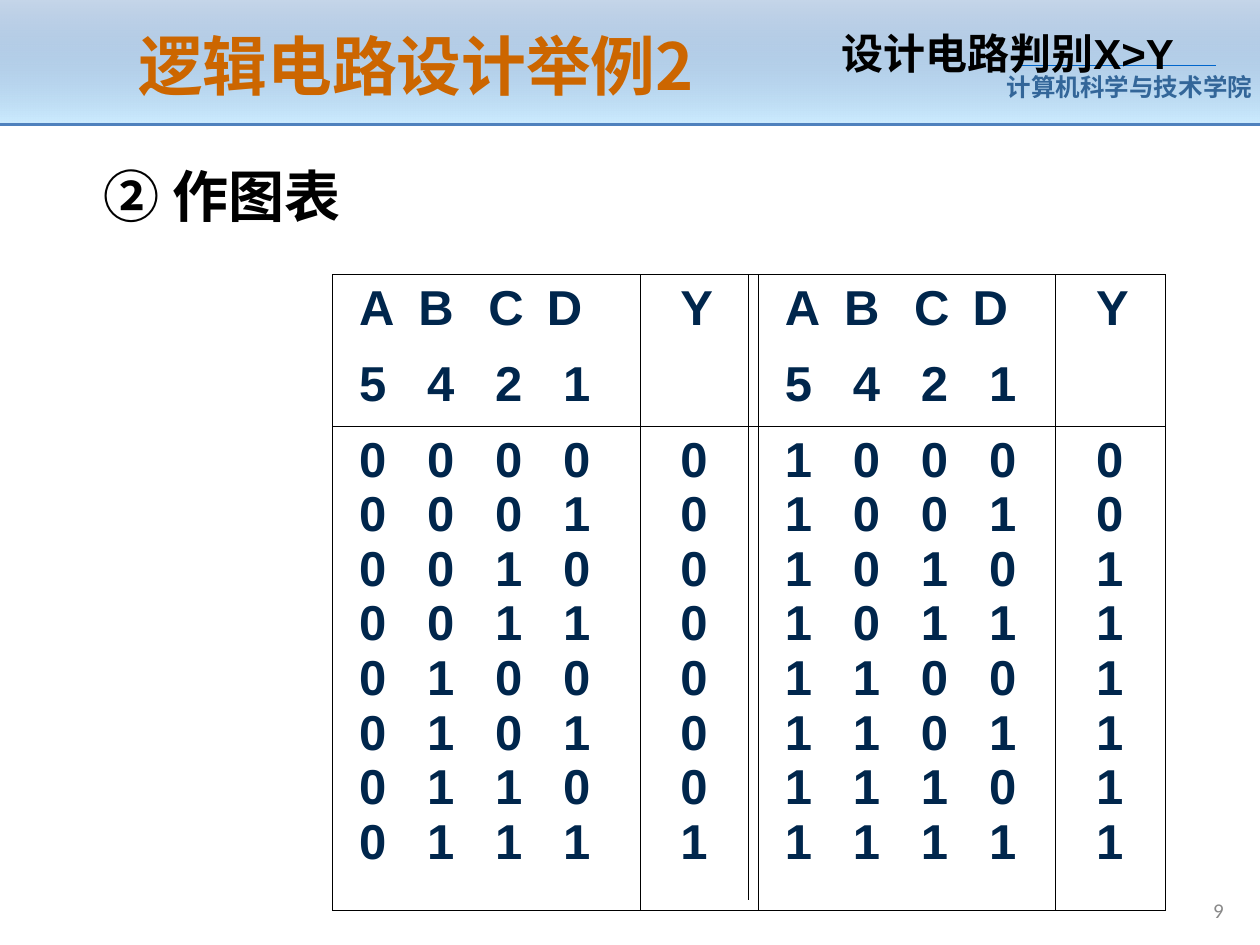
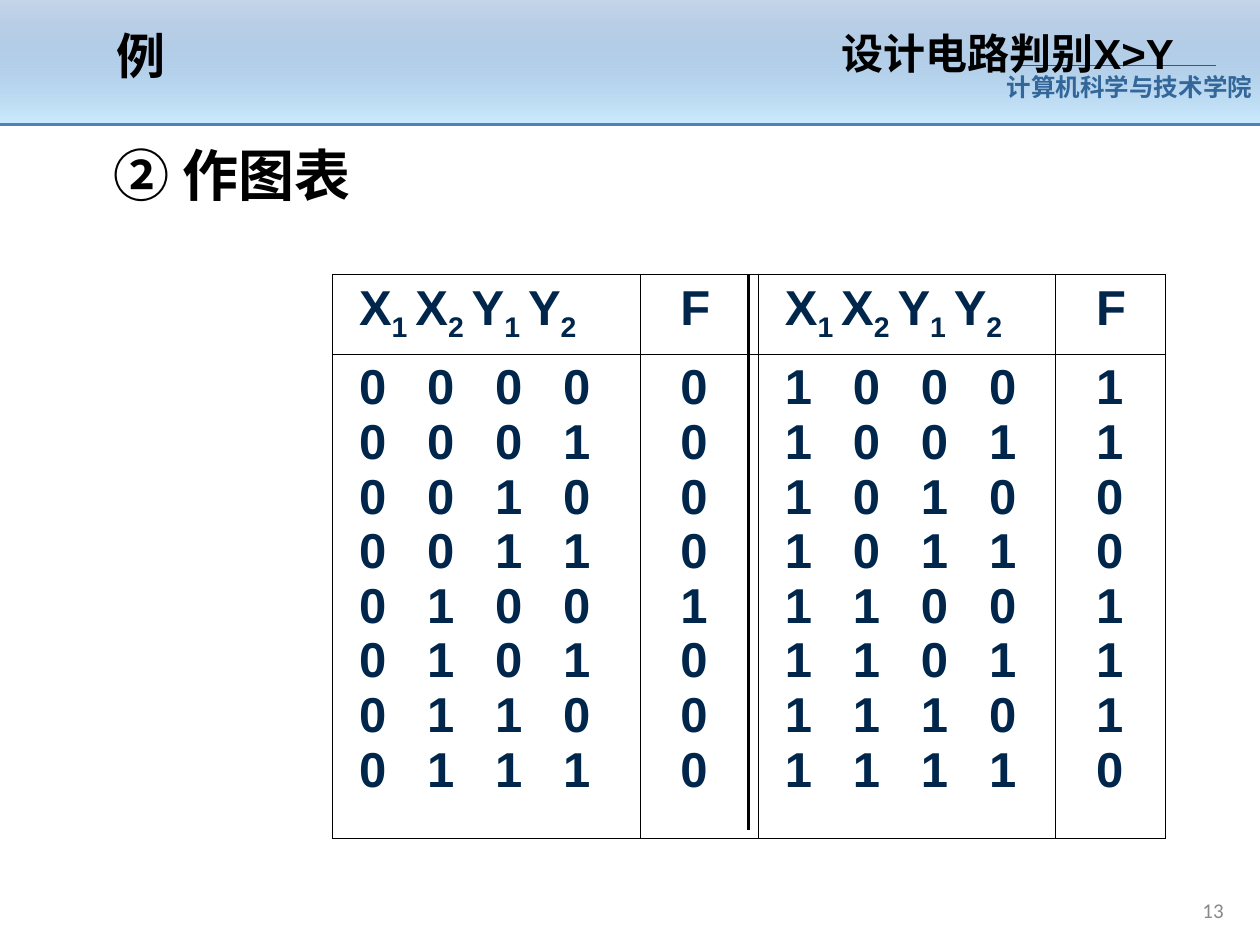
from dataclasses import dataclass
from typing import NamedTuple

from lxml.etree import SubElement
from pptx import Presentation
from pptx.dml.color import RGBColor
from pptx.enum.shapes import MSO_CONNECTOR, MSO_SHAPE
from pptx.enum.text import MSO_ANCHOR, PP_ALIGN
from pptx.oxml.ns import qn
from pptx.util import Inches, Pt

COLS, ROWS = 100, 75  # slide grid
W, H = Inches(10), Inches(7.5)


class Style(NamedTuple):
    size: float
    color: str
    font: str = "Arial"
    bold: bool = True


@dataclass(frozen=True)
class Theme:
    cjk: str = "Noto Sans CJK SC"
    band_top: str = "4F81BD"
    band_alpha: int = 32
    band_bottom: str = "CCECFF"
    band_rule: str = "4F81BD"
    school_rule: str = "0066CC"
    ink: str = "000000"
    school: Style = Style(14, "336699")
    number: Style = Style(12, "898989", "Calibri", False)
    step: Style = Style(32, "000000", "Noto Sans CJK SC")
    topic: Style = Style(24, "000000")
    title: Style = Style(37, "CC6600", "Noto Sans CJK SC")
    example: Style = Style(28, "000000")
    table: Style = Style(28, "00264C")


class Box(NamedTuple):
    """Left, top, width and height in grid columns and rows."""
    x: float
    y: float
    w: float
    h: float


class Piece(NamedTuple):
    text: str
    sub: bool = False


class Line(NamedTuple):
    """One paragraph; tab stops in grid columns."""
    pieces: list[Piece]
    tabs: tuple[float, ...] = ()
    before: float = 0


class Label(NamedTuple):
    text: str
    box: Box
    style: Style
    inset: float = 1
    middle: bool = False
    align: PP_ALIGN = PP_ALIGN.LEFT


class TruthTable(NamedTuple):
    inputs: list[Line]
    output: str
    results: tuple[str, str]
    head_rows: float
    divider_end: float
    divider_pt: float


class Page(NamedTuple):
    number: str
    title: Label
    step_at: tuple[float, float]
    table: TruthTable


THEME = Theme()
BIT_TABS = (5.4, 10.8, 16.2)
NAME_TABS = (4.7, 10.25, 14.9)
TABLE_X, TABLE_Y = 26.4, 21.8
TABLE_COLS = (24.4, 9.4, 23.6, 8.7)
BODY_ROWS = 38.4
DIVIDER_X = 59.4
INPUT_INSET, OUTPUT_INSET = 2.1, 3.2


def gx(cols: float) -> int:
    return round(W * cols / COLS)


def gy(rows: float) -> int:
    return round(H * rows / ROWS)


def place(box: Box) -> tuple[int, int, int, int]:
    return gx(box.x), gy(box.y), gx(box.w), gy(box.h)


def assign(obj, values: dict) -> None:
    for name, value in values.items():
        setattr(obj, name, value)


def add_run(p, piece: Piece, style: Style) -> None:
    r = p.add_run()
    r.text = piece.text
    assign(r.font, {"size": Pt(style.size), "bold": style.bold, "name": style.font})
    r.font.color.rgb = RGBColor.from_string(style.color)
    rPr = r.font._element
    SubElement(rPr, qn("a:ea"), typeface=THEME.cjk)
    if piece.sub:
        rPr.set("baseline", "-25000")


def fill_text(tf, lines: list[Line], style: Style) -> None:
    for i, line in enumerate(lines):
        p = tf.add_paragraph() if i else tf.paragraphs[0]
        if line.tabs:
            tab_list = SubElement(p._p.get_or_add_pPr(), qn("a:tabLst"))
            for stop in line.tabs:
                SubElement(tab_list, qn("a:tab"), pos=str(gx(stop)), algn="l")
        if i and line.before:
            p.space_before = Pt(line.before)
        for piece in line.pieces:
            add_run(p, piece, style)


def add_label(slide, label: Label) -> None:
    tf = slide.shapes.add_textbox(*place(label.box)).text_frame
    assign(tf, {
        "word_wrap": True,
        "margin_left": gx(label.inset),
        "margin_right": gx(min(label.inset, 1)),
        "margin_top": gy(0.5),
        "margin_bottom": gy(0.5),
        "vertical_anchor": MSO_ANCHOR.MIDDLE if label.middle else MSO_ANCHOR.TOP,
    })
    fill_text(tf, [Line([Piece(label.text)])], label.style)
    tf.paragraphs[0].alignment = label.align


def add_line(slide, x1: float, y1: float, x2: float, y2: float,
             color: str, width: float) -> None:
    sp = slide.shapes.add_connector(
        MSO_CONNECTOR.STRAIGHT, gx(x1), gy(y1), gx(x2), gy(y2))
    sp.line.color.rgb = RGBColor.from_string(color)
    sp.line.width = Pt(width)
    SubElement(sp._element.spPr, qn("a:effectLst"))


def add_band(slide) -> None:
    sp = slide.shapes.add_shape(MSO_SHAPE.RECTANGLE, *place(Box(0, 0, COLS, 9.9)))
    sp.shadow.inherit = False
    sp.line.fill.background()
    sp.fill.gradient()
    sp.fill.gradient_angle = 270
    stops = sp.fill.gradient_stops
    for stop, color, position in zip(stops, (THEME.band_top, THEME.band_bottom), (0, 1)):
        stop.color.rgb = RGBColor.from_string(color)
        stop.position = position
    top_color = next(sp._element.spPr.iter(qn("a:srgbClr")))
    SubElement(top_color, qn("a:alpha"), val=str(THEME.band_alpha * 1000))


def add_frame(slide, number: str) -> None:
    """Draw the band, school name, rules and slide number."""
    add_band(slide)
    add_label(slide, Label("计算机科学与技术学院", Box(79.9, 5.2, 19.7, 3.4),
                           THEME.school, inset=0))
    add_line(slide, 80.7, 5.2, 96.5, 5.2, THEME.school_rule, 0.75)
    add_line(slide, 0, 9.9, COLS, 9.9, THEME.band_rule, 1.5)
    add_label(slide, Label(number, Box(76, 70.6, 22.1, 3.2), THEME.number,
                           middle=True, align=PP_ALIGN.RIGHT))


def style_cell(cell, inset: float) -> None:
    tcPr = cell._tc.get_or_add_tcPr()
    for side in ("lnL", "lnR", "lnT", "lnB"):
        ln = SubElement(tcPr, qn(f"a:{side}"), w=str(Pt(0.45)))
        SubElement(SubElement(ln, qn("a:solidFill")), qn("a:srgbClr"), val=THEME.ink)
    cell.fill.background()
    assign(cell, {"margin_left": gx(inset), "margin_right": gx(1),
                  "margin_top": gy(0.5), "margin_bottom": gy(0.5)})


def add_truth_table(slide, spec: TruthTable) -> None:
    heights = (spec.head_rows, BODY_ROWS)
    box = Box(TABLE_X, TABLE_Y, sum(TABLE_COLS), sum(heights))
    table = slide.shapes.add_table(2, len(TABLE_COLS), *place(box)).table
    assign(table, {"first_row": False, "horz_banding": False})
    for col, width in zip(table.columns, TABLE_COLS):
        col.width = gx(width)
    for row, height in zip(table.rows, heights):
        row.height = gy(height)

    for half, results in enumerate(spec.results):
        codes = [f"{n:04b}" for n in range(8 * half, 8 * half + 8)]
        bits = [Line([Piece("\t".join(code))], BIT_TABS) for code in codes]
        values = [Line([Piece(value)]) for value in results]
        columns = ((spec.inputs, bits, INPUT_INSET),
                   ([Line([Piece(spec.output)])], values, OUTPUT_INSET))
        for c, (head, body, inset) in enumerate(columns, start=2 * half):
            for r, lines in enumerate((head, body)):
                cell = table.cell(r, c)
                style_cell(cell, inset)
                fill_text(cell.text_frame, lines, THEME.table)
    add_line(slide, DIVIDER_X, TABLE_Y, DIVIDER_X, spec.divider_end,
             THEME.ink, spec.divider_pt)


def subscripted(names: list[str]) -> Line:
    """Lower the digit of each name and the space after it."""
    pieces = []
    for name in names:
        gap = "" if name == names[-1] else " "
        pieces += [Piece(name[0]), Piece(name[1:] + gap, sub=True)]
    return Line(pieces)


PAGES = (
    Page(
        "9",
        Label("逻辑电路设计举例2", Box(10, 1.3, 55.7, 7.7), THEME.title, middle=True),
        (4.3, 12.3),
        TruthTable(
            [Line([Piece("\t".join("ABCD"))], NAME_TABS),
             Line([Piece("\t".join("5421"))], BIT_TABS, before=12.25)],
            "Y", ("00000001", "00111111"), 12, 71.4, 1),
    ),
    Page(
        "13",
        Label("例", Box(8.3, 0, 27.7, 8.7), THEME.example, middle=True),
        (5.1, 10.7),
        TruthTable([subscripted(["X1", "X2", "Y1", "Y2"])],
                   "F", ("00001000", "11001110"), 6.3, 65.9, 2),
    ),
)


def main() -> None:
    prs = Presentation()
    assign(prs, {"slide_width": W, "slide_height": H})
    for page in PAGES:
        slide = prs.slides.add_slide(prs.slide_layouts[6])
        add_frame(slide, page.number)
        add_label(slide, Label("② 作图表", Box(*page.step_at, 51.5, 6.4),
                               THEME.step, inset=3.9))
        add_truth_table(slide, page.table)
        add_label(slide, Label("设计电路判别X>Y", Box(65.8, 1.7, 30, 5), THEME.topic))
        add_label(slide, page.title)
    prs.save("out.pptx")


if __name__ == "__main__":
    main()
